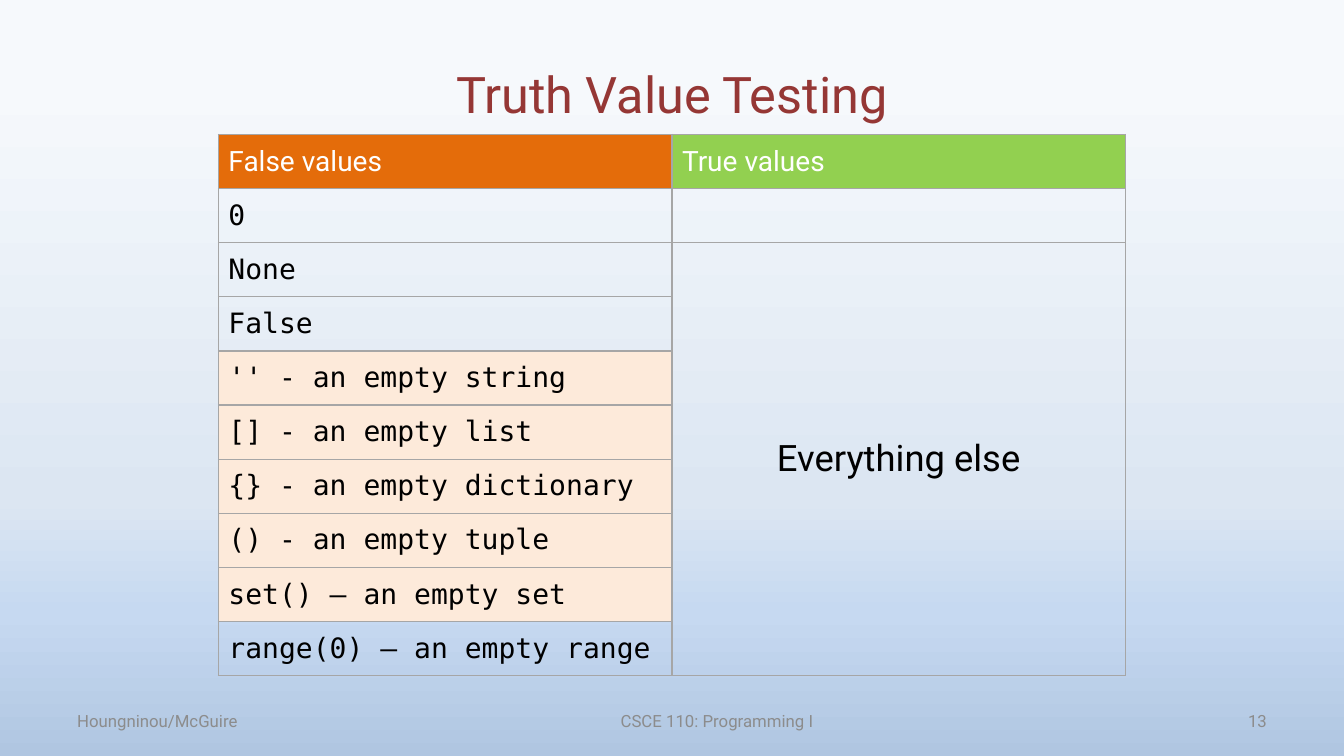
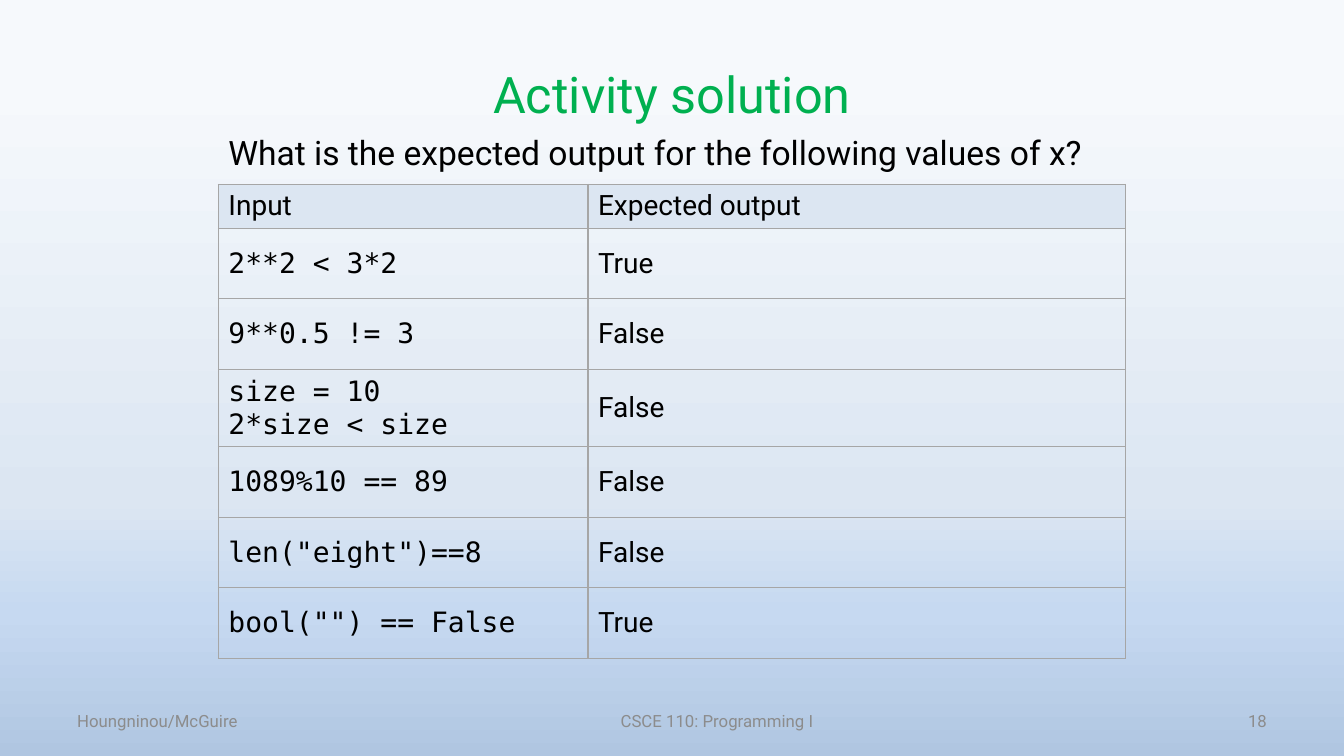
from pptx import Presentation
from pptx.dml.color import RGBColor
from pptx.enum.text import MSO_ANCHOR, PP_ALIGN
from pptx.oxml import parse_xml
from pptx.oxml.ns import nsdecls, qn
from pptx.util import Inches, Pt

RED = RGBColor(0x95, 0x37, 0x35)
GREEN = RGBColor(0x00, 0xB0, 0x50)
ORANGE = RGBColor(0xE4, 0x6C, 0x0A)
LIME = RGBColor(0x92, 0xD0, 0x50)
PEACH = RGBColor(0xFD, 0xEA, 0xDA)
PALE = RGBColor(0xDC, 0xE6, 0xF2)
EDGE = RGBColor(0xA6, 0xA6, 0xA6)
GRAY = RGBColor(0x8C, 0x8C, 0x8C)
WHITE = RGBColor(0xFF, 0xFF, 0xFF)
BLACK = RGBColor(0x00, 0x00, 0x00)
SANS, MONO = "Roboto", "DejaVu Sans Mono"
LEFT, MID, RIGHT = PP_ALIGN.LEFT, PP_ALIGN.CENTER, PP_ALIGN.RIGHT

deck = Presentation()
deck.slide_width, deck.slide_height = Inches(40) // 3, Inches(7.5)
COL, ROW = deck.slide_width / 80, deck.slide_height / 300
EDGE_COL, SPAN = 13, 54  # left edge and width of the tables, in columns

# Shared background: pale to blue, top to bottom
fill = deck.slide_master.background.fill
fill.gradient()
fill.gradient_angle = 270
stops = deck.slide_master.element.find(".//" + qn("a:gsLst"))
stops.clear()
for share, tone in ((11, "F6F9FC"), (66, "DCE6F2"), (81, "C6D9F1"), (100, "B0C6E1")):
    stops.append(parse_xml(
        f'<a:gs {nsdecls("a")} pos="{share * 1000}"><a:srgbClr val="{tone}"/></a:gs>'))


def write(frame, text, size, color=BLACK, face=SANS, align=LEFT):
    frame.text = text
    frame.word_wrap = True
    for para in frame.paragraphs:
        para.alignment = align
        look = {"size": Pt(size), "name": face, "bold": False}
        for key, value in look.items():
            setattr(para.font, key, value)
        para.font.color.rgb = color


def grid(slide, top, widths, heights, cells):
    """Cells are (text, face, text color, fill) or None where nothing is written."""
    table = slide.shapes.add_table(
        len(heights), len(widths), int(EDGE_COL * COL), int(top * ROW),
        int(SPAN * COL), int(sum(heights) * ROW)).table
    table.first_row = table.horz_banding = False
    for column, width in zip(table.columns, widths):
        column.width = int(width * COL)
    for line, height, items in zip(table.rows, heights, cells):
        line.height = int(height * ROW)
        for cell, item in zip(line.cells, items):
            cell.vertical_anchor = MSO_ANCHOR.MIDDLE
            for side in ("lnL", "lnR", "lnT", "lnB"):
                cell._tc.get_or_add_tcPr().append(parse_xml(
                    f'<a:{side} {nsdecls("a")} w="12700"><a:solidFill>'
                    f'<a:srgbClr val="{EDGE}"/></a:solidFill></a:{side}>'))
            cell.fill.background()
            if item:
                text, face, color, shade = item
                write(cell.text_frame, text, 20, color, face)
                if shade:
                    cell.fill.solid()
                    cell.fill.fore_color.rgb = shade
    return table


# Title and footers of every slide
slides = []
for title, color, number in (("Truth Value Testing", RED, "13"),
                             ("Activity solution", GREEN, "18")):
    slide = deck.slides.add_slide(deck.slide_layouts[6])
    slides.append(slide)
    for text, left, top, width, height, size, tone, align in (
            (title, 4, 12, 72, 50, 36, color, MID),
            ("Houngninou/McGuire", 4, 278, 18.64, 16, 12, GRAY, LEFT),
            ("CSCE 110: Programming I", 27.36, 278, 30.64, 16, 12, GRAY, MID),
            (number, 57.36, 278, 18.64, 16, 12, GRAY, RIGHT)):
        box = slide.shapes.add_textbox(
            int(left * COL), int(top * ROW), int(width * COL), int(height * ROW))
        box.text_frame.vertical_anchor = MSO_ANCHOR.MIDDLE
        write(box.text_frame, text, size, tone, align=align)
truth, quiz = slides

# Truth values: empty collections are shaded
plain = ("0", "None", "False")
empty = ("'' - an empty string", "[] - an empty list", "{} - an empty dictionary",
         "() - an empty tuple", "set() – an empty set")
cells = [[("False values", SANS, WHITE, ORANGE), ("True values", SANS, WHITE, LIME)]]
for text in plain + empty + ("range(0) – an empty range",):
    cells.append([(text, MONO, BLACK, PEACH if text in empty else None), None])
table = grid(truth, 53.4, (SPAN / 2, SPAN / 2), [21.48] * len(cells), cells)
table.cell(2, 1).merge(table.cell(len(cells) - 1, 1))
write(table.cell(2, 1).text_frame, "Everything else", 26, align=MID)

# Activity question
box = quiz.shapes.add_textbox(
    int(EDGE_COL * COL), int(50.4 * ROW), int(SPAN * COL), int(23.2 * ROW))
write(box.text_frame, "What is the expected output for the following values of x?", 24)
box.text_frame.paragraphs[0].space_after = Pt(12)

# Activity answers
cells = [[(head, SANS, BLACK, PALE) for head in ("Input", "Expected output")]]
for code, answer in (("2**2 < 3*2", "True"),
                     ("9**0.5 != 3", "False"),
                     ("size = 10\n2*size < size", "False"),
                     ("1089%10 == 89", "False"),
                     ('len("eight")==8', "False"),
                     ('bool("") == False', "True")):
    cells.append([(code, MONO, BLACK, None), (answer, SANS, BLACK, None)])
grid(quiz, 73.2, (22, 32), [17.2] + [28] * 6, cells)

deck.save("out.pptx")
